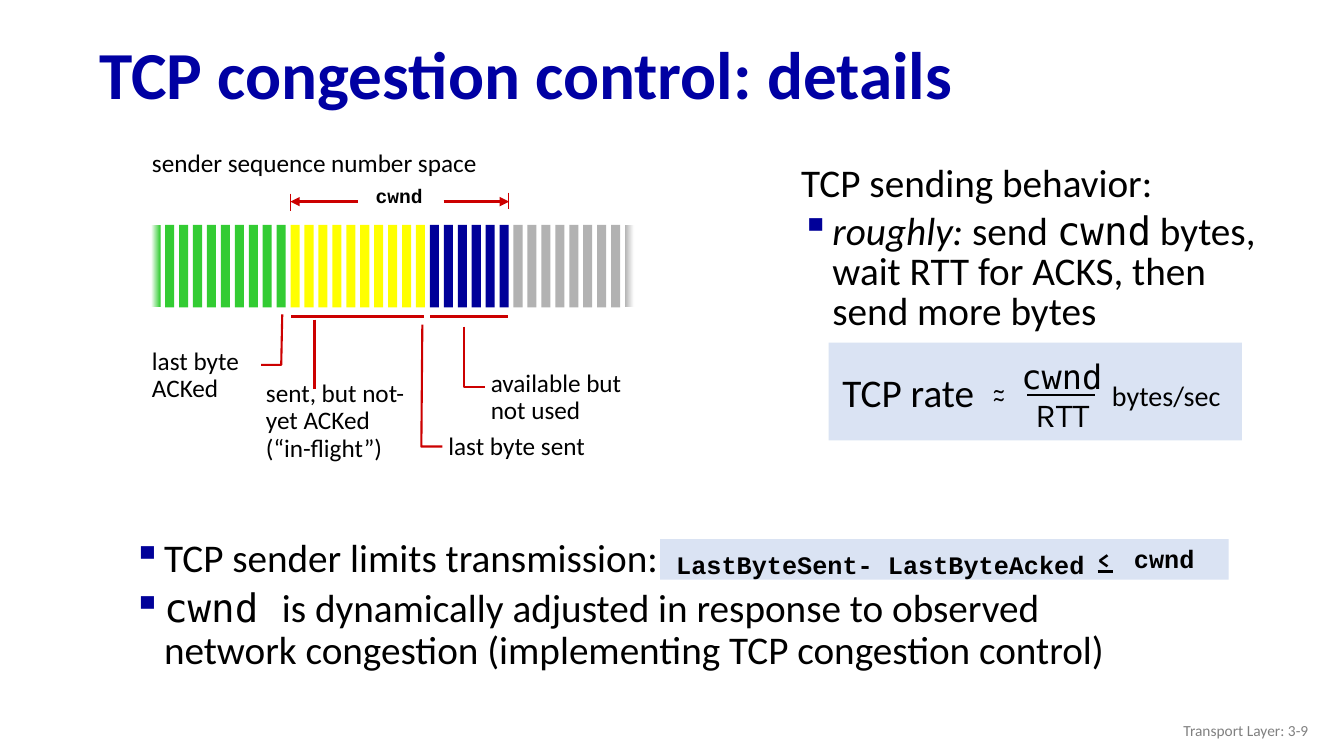
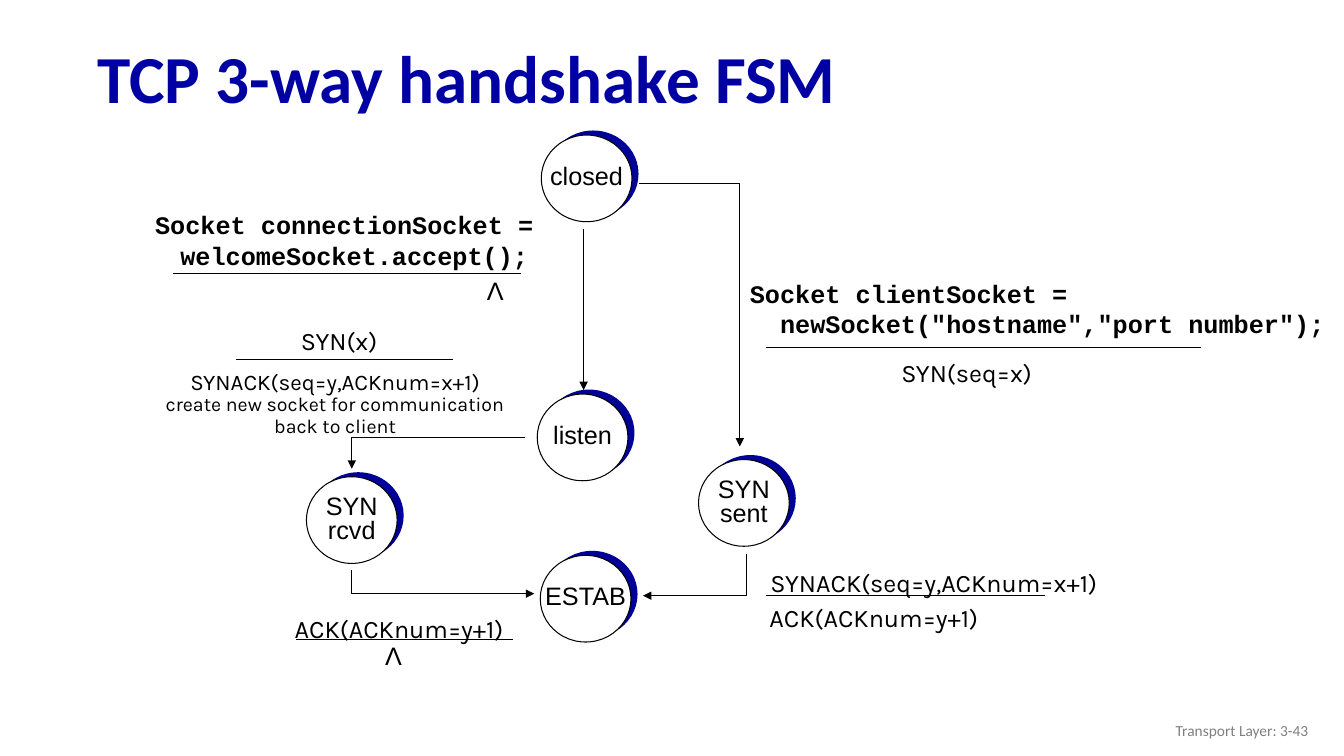
from dataclasses import dataclass, replace

from lxml.etree import SubElement
from pptx import Presentation
from pptx.dml.color import RGBColor
from pptx.enum.shapes import MSO_CONNECTOR, MSO_SHAPE
from pptx.enum.text import MSO_ANCHOR, PP_ALIGN
from pptx.oxml.ns import qn
from pptx.util import Inches, Pt

# The grid has 133.33 columns and 75 rows of a tenth of an inch.
CELL = Inches(0.1)
COLUMNS, ROWS = 133.33, 75

TITLE_BLUE = RGBColor(0x00, 0x00, 0xA3)
NAVY = RGBColor(0x00, 0x00, 0x99)
PALE_BLUE = RGBColor(0xDA, 0xE3, 0xF3)
GREEN = RGBColor(0x33, 0xCC, 0x33)
YELLOW = RGBColor(0xFF, 0xFF, 0x00)
SILVER = RGBColor(0xB2, 0xB2, 0xB2)
GRAY = RGBColor(0x80, 0x80, 0x80)
RED = RGBColor(0xCC, 0x00, 0x00)
BLACK = RGBColor(0x00, 0x00, 0x00)
WHITE = RGBColor(0xFF, 0xFF, 0xFF)
MONO = "DejaVu Sans Mono"


@dataclass(frozen=True)
class Style:
    """The look of a piece of text."""
    font: str
    size: float
    bold: bool = False
    color: RGBColor = BLACK
    spacing: float = 1.0
    align: PP_ALIGN = PP_ALIGN.LEFT
    anchor: MSO_ANCHOR = MSO_ANCHOR.TOP
    wrap: bool = True


@dataclass(frozen=True)
class Label:
    """Text placed on the grid."""
    text: str
    left: float
    top: float
    width: float
    height: float
    style: Style


@dataclass(frozen=True)
class Span:
    """A run inside a paragraph."""
    text: str
    font: str = "Calibri"
    italic: bool = False


@dataclass(frozen=True)
class Stroke:
    """A line through grid points, with an optional arrowhead at its end."""
    points: tuple[tuple[float, float], ...]
    color: RGBColor = BLACK
    weight: float = 0.75
    arrow: bool = False


@dataclass(frozen=True)
class State:
    """A circle of the state machine."""
    name: str
    left: float
    top: float


TITLE = Style("Calibri", 48, True, TITLE_BLUE, 0.9, anchor=MSO_ANCHOR.MIDDLE)
FOOTER = Style("Calibri", 11, color=GRAY, align=PP_ALIGN.RIGHT,
               anchor=MSO_ANCHOR.MIDDLE)
BODY = Style("Calibri", 28, spacing=0.9)
NOTE = Style("Calibri", 18, spacing=0.9)
CODE = Style("Courier New", 18, True)
CODE_CENTERED = replace(CODE, align=PP_ALIGN.CENTER, wrap=False)
MESSAGE = Style("Karla", 18, align=PP_ALIGN.CENTER, wrap=False)
ACTION = replace(MESSAGE, size=16, spacing=0.9, wrap=True)
FORMULA = Style("Calibri", 28, align=PP_ALIGN.CENTER, wrap=False)
LAMBDA = replace(MESSAGE, font="Arial")
STATE = replace(LAMBDA, spacing=0.8, anchor=MSO_ANCHOR.MIDDLE)


def cells(count: float) -> int:
    """Turn a count of grid cells into a length."""
    return round(count * CELL)


def format_run(span, style: Style) -> None:
    """Give a run the font of a style."""
    span.font.name = style.font
    span.font.size = Pt(style.size)
    span.font.bold = style.bold
    span.font.color.rgb = style.color


def format_frame(frame, style: Style) -> None:
    """Give all text in a frame one style."""
    frame.word_wrap = style.wrap
    frame.vertical_anchor = style.anchor
    for para in frame.paragraphs:
        para.alignment = style.align
        para.line_spacing = style.spacing
        for span in para.runs:
            format_run(span, style)


def draw_label(page, label: Label):
    """Draw a text box and return its frame."""
    box = page.shapes.add_textbox(*map(cells, (
        label.left, label.top, label.width, label.height)))
    box.text_frame.text = label.text
    format_frame(box.text_frame, label.style)
    return box.text_frame


def set_indent(para, margin: float, first: float) -> None:
    """Set the left margin and first-line indent in grid cells."""
    properties = para._p.get_or_add_pPr()
    properties.set("marL", str(cells(margin)))
    properties.set("indent", str(cells(first)))


def add_bullet(para) -> None:
    """Add a hanging square bullet."""
    set_indent(para, 3.1, -3.1)
    properties = para._p.get_or_add_pPr()
    color = SubElement(properties, qn("a:buClr"))
    SubElement(color, qn("a:srgbClr")).set("val", str(NAVY))
    SubElement(properties, qn("a:buChar")).set("char", "▪")


def add_spans(para, spans: tuple[Span, ...], style: Style) -> None:
    """Fill a body paragraph with runs."""
    para.line_spacing = style.spacing
    para.space_before = Pt(0.2 * style.size)
    for part in spans:
        span = para.add_run()
        span.text = part.text
        format_run(span, replace(style, font=part.font))
        span.font.italic = part.italic


def draw_shape(page, kind: MSO_SHAPE, left: float, top: float, width: float,
               height: float, fill: RGBColor):
    """Draw a filled shape without an outline."""
    shape = page.shapes.add_shape(
        kind, *map(cells, (left, top, width, height)))
    shape.shadow.inherit = False
    shape.fill.solid()
    shape.fill.fore_color.rgb = fill
    shape.line.fill.background()
    return shape


def draw_stroke(page, stroke: Stroke) -> None:
    """Draw a straight connector, or a bent open outline."""
    points = [(cells(x), cells(y)) for x, y in stroke.points]
    straight = len(points) == 2
    if straight:
        line = page.shapes.add_connector(
            MSO_CONNECTOR.STRAIGHT, *points[0], *points[1])
    else:
        builder = page.shapes.build_freeform(*points[0])
        builder.add_line_segments(points[1:], close=False)
        line = builder.convert_to_shape()
        line.fill.background()
    line.line.color.rgb = stroke.color
    line.line.width = Pt(stroke.weight)
    properties = line.element.spPr
    if stroke.arrow:
        outline = properties.find(qn("a:ln"))
        SubElement(outline, qn("a:tailEnd")).set("type", "triangle")
    if straight:
        SubElement(properties, qn("a:effectLst"))
    else:
        line.shadow.inherit = False


def draw_stripes(page) -> None:
    """Draw the sequence number space, fading at both ends."""
    colors = [GREEN] * 10 + [YELLOW] * 10 + [NAVY] * 6 + [SILVER] * 9
    pitch = 47 / (len(colors) - 1)
    stripes = [
        draw_shape(page, MSO_SHAPE.RECTANGLE, 15 + index * pitch, 22.3,
                   0.9, 8.2, color)
        for index, color in enumerate(colors)]
    fades = ((stripes[0], (WHITE, GREEN)), (stripes[-1], (SILVER, WHITE)))
    for stripe, ends in fades:
        stripe.fill.gradient()
        stripe.fill.gradient_angle = 0
        for stop, color in zip(stripe.fill.gradient_stops, ends):
            stop.color.rgb = color


def draw_state(page, state: State) -> None:
    """Draw a named circle with a navy disc behind it."""
    draw_shape(page, MSO_SHAPE.OVAL, state.left + 0.65, state.top - 0.45,
               9, 8.6, NAVY)
    circle = draw_shape(page, MSO_SHAPE.OVAL, state.left, state.top,
                        9, 8.6, WHITE)
    circle.line.color.rgb = BLACK
    circle.line.width = Pt(0.75)
    frame = circle.text_frame
    frame.margin_left = frame.margin_right = 0
    frame.margin_top = frame.margin_bottom = 0
    frame.text = state.name
    format_frame(frame, STATE)


def add_page(deck, title: str, left: float, top: float, number: int):
    """Add a blank slide with its title and footer."""
    page = deck.slides.add_slide(deck.slide_layouts[6])
    draw_label(page, Label(title, left, top, 120, 9.8, TITLE))
    draw_label(page, Label(f"Transport Layer: 3-{number}",
                           100.8, 70.5, 30, 4, FOOTER))
    return page


def build_congestion(deck) -> None:
    """Build the slide on congestion control."""
    page = add_page(deck, "TCP congestion control: details", 8.9, 2.8, 9)
    for panel in ((65.5, 53.5, 56.4, 4), (82.2, 34, 41, 9.7)):
        draw_shape(page, MSO_SHAPE.RECTANGLE, *panel, PALE_BLUE)
    draw_stripes(page)

    strokes = (
        Stroke(((28, 31.2), (27.9, 36.2), (25.9, 36.2)), RED, 1.5),
        Stroke(((41.9, 32.2), (41.8, 44.3), (43.9, 44.3)), RED, 1.5),
        Stroke(((46, 32.4), (46, 38.4), (48.1, 38.4)), RED, 1.5),
        Stroke(((31.2, 31.7), (31.2, 38.6)), RED, 1.5),
        Stroke(((28.9, 31.4), (42.1, 31.4)), RED, 2.25),
        Stroke(((42.7, 31.4), (50.4, 31.4)), RED, 2.25),
        Stroke(((44, 20), (50.5, 20)), RED, 2.25, True),
        Stroke(((35.5, 20), (28.8, 20)), RED, 2.25, True),
        Stroke(((50.4, 19.1), (50.4, 20.7)), RED),
        Stroke(((28.8, 19.2), (28.8, 20.9)), RED),
        Stroke(((108.9, 56.7), (110.4, 56.7)), BLACK, 1.5),
        Stroke(((101.9, 39.2), (108.6, 39.2)), BLACK, 1.5),
    )
    for stroke in strokes:
        draw_stroke(page, stroke)

    labels = (
        Label("sender sequence number space", 14.1, 14.1, 37, 4,
              replace(NOTE, spacing=1.0)),
        Label("cwnd", 35.2, 18, 8.8, 3.8,
              replace(CODE_CENTERED, size=14, spacing=0.9)),
        Label("last byte\nACKed", 14.1, 34.1, 12, 6.5, NOTE),
        Label("sent, but not-yet ACKed\n(“in-flight”)",
              25.4, 37.3, 18.2, 9.2, NOTE),
        Label("last byte sent", 43.5, 42.5, 17.5, 3.7, NOTE),
        Label("available but not used", 47.7, 36.3, 17.5, 6.5, NOTE),
        Label("TCP rate", 82.5, 36, 15.2, 5.7, FORMULA),
        Label("~", 94, 36.6, 10.2, 4, MESSAGE),
        Label("~", 94, 37.4, 10.2, 4, MESSAGE),
        Label("cwnd", 100.3, 34.8, 10.1, 5.1,
              replace(FORMULA, font=MONO, size=24)),
        Label("RTT", 101.4, 38.6, 8, 5.1, replace(MESSAGE, size=24)),
        Label("bytes/sec", 109.2, 37.1, 13, 4.4, replace(FORMULA, size=20)),
        Label("LastByteSent- LastByteAcked", 66.1, 54, 48.1, 3.7, CODE),
        Label("<", 107.6, 53.7, 3.8, 3.7,
              replace(MESSAGE, size=16, bold=True)),
        Label("cwnd", 111.5, 53.4, 8, 4, CODE_CENTERED),
    )
    for label in labels:
        draw_label(page, label)

    compact = replace(BODY, spacing=0.85)
    behavior = draw_label(page, Label("", 78.5, 15.9, 50.2, 18, compact))
    add_spans(behavior.paragraphs[0], (Span("TCP sending behavior:"),), compact)
    para = behavior.add_paragraph()
    add_spans(para, (
        Span("roughly:", italic=True), Span(" send "), Span("cwnd", MONO),
        Span(" bytes, wait RTT for ACKS, then send more bytes")), compact)
    add_bullet(para)

    limits = draw_label(page, Label("", 12.2, 52.9, 105.3, 18.5, BODY))
    add_spans(limits.paragraphs[0],
              (Span("TCP sender limits transmission:"),), BODY)
    add_spans(limits.add_paragraph(), (
        Span("cwnd ", MONO),
        Span("is dynamically adjusted in response to observed network "
             "congestion (implementing TCP congestion control)")), BODY)
    for para in limits.paragraphs:
        add_bullet(para)


def build_handshake(deck) -> None:
    """Build the slide on the handshake state machine."""
    page = add_page(deck, "TCP 3-way handshake FSM", 8.7, 3.2, 43)
    states = (State("closed", 53.7, 13.4), State("listen", 53.3, 39.1),
              State("SYN\nrcvd", 30.4, 47.3), State("SYN\nsent", 69.3, 45.6),
              State("ESTAB", 53.6, 55.1))
    for state in states:
        draw_state(page, state)

    transitions = (
        ((63.4, 18.2), (73.4, 18.2), (73.4, 44.3)),
        ((57.9, 22.7), (57.9, 38.7)),
        ((52.1, 43.4), (34.9, 43.4), (34.9, 46.5)),
        ((34.9, 56.6), (34.9, 58.9), (53, 58.9)),
        ((74.1, 55), (74.1, 59.1), (63.8, 59.1)),
    )
    for points in transitions:
        draw_stroke(page, Stroke(points, arrow=True))
    rules = ((76, 119.1, 34.5), (17.2, 51.7, 27.1), (23.4, 44.9, 35.7),
             (76, 103.7, 59.1), (29.4, 50.9, 63.4))
    for start, end, row in rules:
        draw_stroke(page, Stroke(((start, row), (end, row))))

    labels = (
        Label("Λ", 47.3, 26.8, 3.7, 4, LAMBDA),
        Label("Λ", 37.2, 63, 3.7, 4, LAMBDA),
        Label("SYN(seq=x)", 88.2, 35, 15.4, 4, MESSAGE),
        Label("SYN(x)", 28.8, 31.8, 9.7, 4, MESSAGE),
        Label("SYNACK(seq=y,ACKnum=x+1)", 74.4, 55.8, 36.5, 4, MESSAGE),
        Label("ACK(ACKnum=y+1)", 74.6, 59.3, 24.2, 4, MESSAGE),
        Label("ACK(ACKnum=y+1)", 27.5, 60.4, 24.2, 4, MESSAGE),
    )
    for label in labels:
        draw_label(page, label)

    action = draw_label(page, Label(
        "SYNACK(seq=y,ACKnum=x+1)\n"
        "create new socket for communication back to client",
        14.4, 36.3, 37.7, 7.5, ACTION))
    action.paragraphs[1].runs[0].font.size = Pt(14)

    accept = draw_label(page, Label(
        "Socket connectionSocket = welcomeSocket.accept();",
        14.4, 20.3, 45.8, 7.1, CODE))
    set_indent(accept.paragraphs[0], 2.5, -2.5)
    client = draw_label(page, Label(
        'Socket clientSocket =\nnewSocket("hostname","port number");',
        73.4, 27.1, COLUMNS - 73.4, 7.1, CODE))
    client.margin_right = 0
    set_indent(client.paragraphs[1], 3, 0)


def main() -> None:
    """Build and save the deck."""
    deck = Presentation()
    deck.slide_width, deck.slide_height = cells(COLUMNS), cells(ROWS)
    build_congestion(deck)
    build_handshake(deck)
    deck.save("out.pptx")


main()
